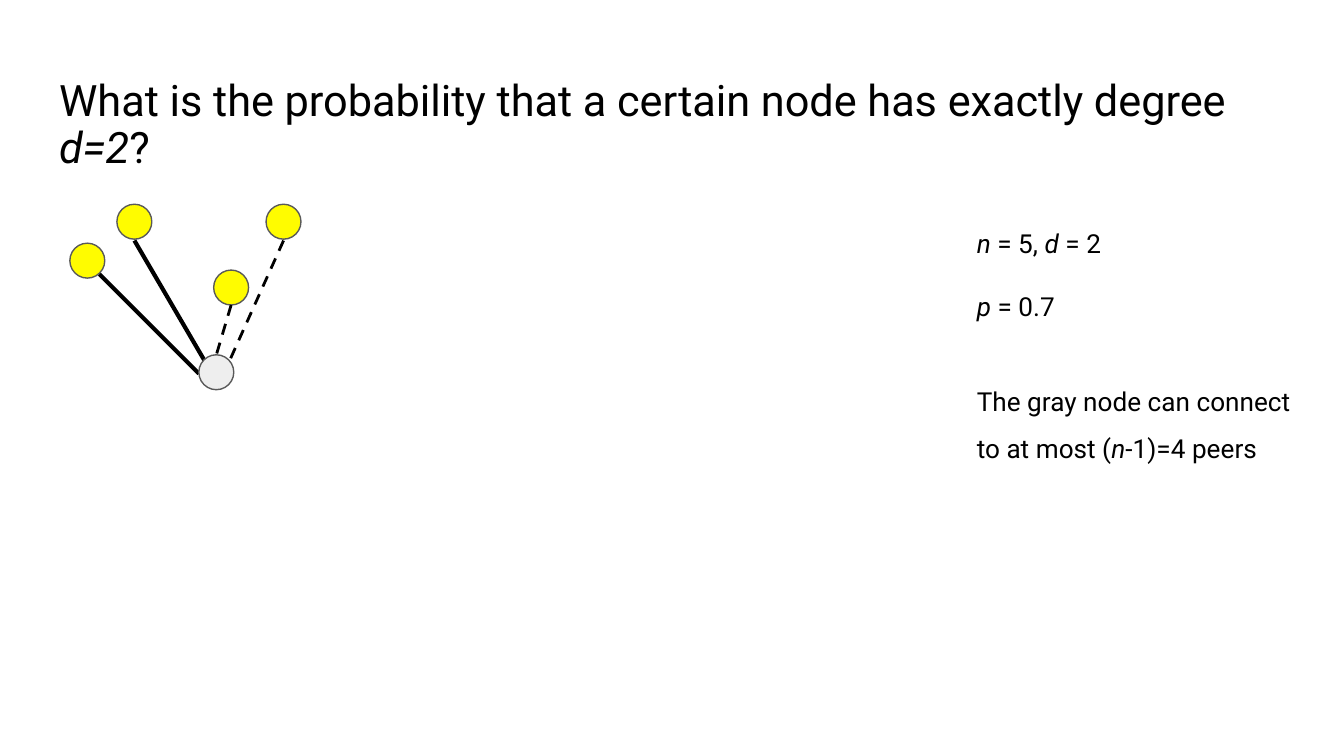
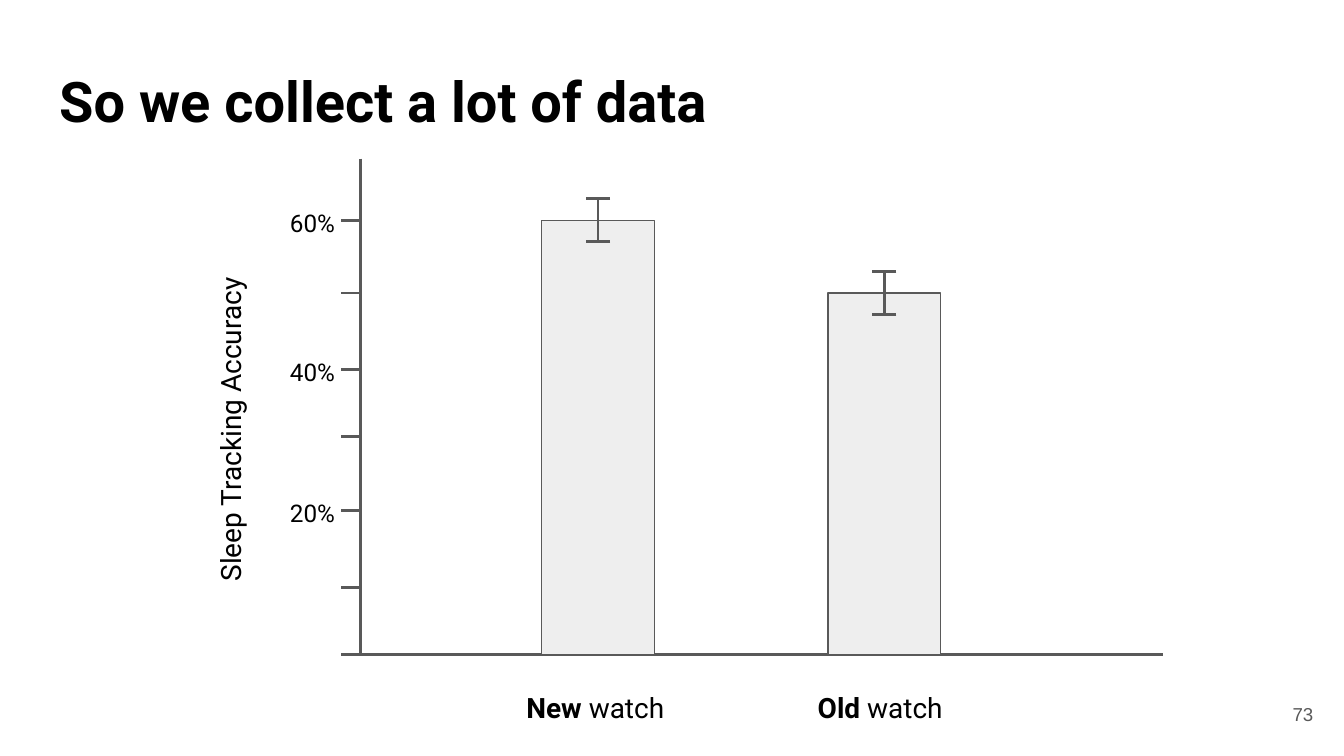
import pptx
import pptx.dml.color
import pptx.enum.dml
import pptx.enum.shapes
import pptx.enum.text
import pptx.oxml
import pptx.util

Inches = pptx.util.Inches
Pt = pptx.util.Pt
RGBColor = pptx.dml.color.RGBColor
SHAPE = pptx.enum.shapes.MSO_SHAPE
ALIGN = pptx.enum.text.PP_ALIGN
ANCHOR = pptx.enum.text.MSO_ANCHOR
DASH = pptx.enum.dml.MSO_LINE.DASH

BLACK = RGBColor(0x00, 0x00, 0x00)
GRAY = RGBColor(0x59, 0x59, 0x59)
PALE = RGBColor(0xEE, 0xEE, 0xEE)
YELLOW = RGBColor(0xFF, 0xFC, 0x00)

TITLE_AREA = (0.34, 0.49, 9.32, 0.63)
LABEL_FORMAT = {"alignment": ALIGN.CENTER, "line_spacing": 1.2, "space_after": Pt(10)}
TICK_FORMAT = {**LABEL_FORMAT, "alignment": ALIGN.RIGHT}


def write(box, area, paragraphs, size, para_format, anchor=ANCHOR.TOP, font="Roboto", color=BLACK):
    box.left, box.top, box.width, box.height = map(Inches, area)
    frame = box.text_frame
    frame_format = {"word_wrap": True, "vertical_anchor": anchor,
                    "auto_size": pptx.enum.text.MSO_AUTO_SIZE.NONE}
    for side in ("left", "top", "right", "bottom"):
        frame_format[f"margin_{side}"] = Inches(0.1)
    for name, value in frame_format.items():
        setattr(frame, name, value)
    for index, spans in enumerate(paragraphs):
        para = frame.add_paragraph() if index else frame.paragraphs[0]
        for name, value in para_format.items():
            setattr(para, name, value)
        for text, style in spans:
            span = para.add_run()
            span.text = text
            span.font.color.rgb = color
            font_format = {"name": font, "size": Pt(size),
                           "bold": "b" in style, "italic": "i" in style}
            for name, value in font_format.items():
                setattr(span.font, name, value)


def draw(shapes, kind, area, color, width, fill=None, dash=None):
    lengths = map(Inches, area)
    if kind == "line":
        shape = shapes.add_connector(pptx.enum.shapes.MSO_CONNECTOR.STRAIGHT, *lengths)
        properties = shape.line._get_or_add_ln().getparent()
        properties.append(pptx.oxml.parse_xml(
            '<a:effectLst xmlns:a="http://schemas.openxmlformats.org/drawingml/2006/main"/>'))
    else:
        shape = shapes.add_shape(kind, *lengths)
        shape.shadow.inherit = False
        shape.fill.solid()
        shape.fill.fore_color.rgb = fill
    shape.line.color.rgb = color
    shape.line.width = Pt(width)
    if dash:
        shape.line.dash_style = dash


deck = pptx.Presentation()
deck.slide_width = Inches(10)
deck.slide_height = Inches(10 * 9 / 16)
title_only = deck.slide_layouts[5]

page = deck.slides.add_slide(title_only)
question = [("What is the probability that a certain node has exactly degree ", ""),
            ("d=2", "i"), ("?", "")]
write(page.shapes.title, TITLE_AREA, [question], 23.2,
      {"alignment": ALIGN.LEFT, "line_spacing": 0.9})

graph = page.shapes.add_group_shape().shapes
NODE = 0.26
for left, top in [(0.87, 1.52), (1.98, 1.52), (1.59, 2.01), (0.52, 1.81)]:
    draw(graph, SHAPE.OVAL, (left, top, NODE, NODE), GRAY, 0.75, YELLOW)
for edge in [(1, 1.79, 1.52, 2.68), (0.74, 2.04, 1.48, 2.78)]:
    draw(graph, "line", edge, BLACK, 2.25)
for edge in [(2.11, 1.79, 1.71, 2.68), (1.72, 2.27, 1.61, 2.64)]:
    draw(graph, "line", edge, BLACK, 1.5, dash=DASH)
draw(graph, SHAPE.OVAL, (1.48, 2.64, NODE, NODE), GRAY, 0.75, PALE)

values = [[("n ", "i"), ("= 5, ", ""), ("d", "i"), (" = 2", "")],
          [("p ", "i"), ("= 0.7", "")]]
peers = [[("The gray node can connect to at most (", ""), ("n", "i"), ("-1)=4 peers", "")]]
for area, paragraphs, spacing in [((7.17, 1.36, 1.99, 0.94), values, 2.0),
                                  ((7.17, 2.65, 2.63, 0.79), peers, 1.5)]:
    box = page.shapes.add_textbox(0, 0, 0, 0)
    write(box, area, paragraphs, 14, {"line_spacing": spacing})

page = deck.slides.add_slide(title_only)
write(page.shapes.title, TITLE_AREA, [[("So we collect a lot of data", "b")]], 30,
      {"alignment": ALIGN.LEFT, "line_spacing": 0.8})

AXIS_X, AXIS_Y = 2.68, 4.87
draw(page.shapes, "line", (AXIS_X, 1.18, AXIS_X, AXIS_Y), GRAY, 1.5)
draw(page.shapes, "line", (AXIS_X, AXIS_Y, 8.65, AXIS_Y), GRAY, 1.5)

ticks = [(1.64, "60%"), (2.18, ""), (2.75, "40%"), (3.25, ""),
         (3.8, "20%"), (4.37, ""), (AXIS_Y, "")]
for y, label in ticks:
    draw(page.shapes, "line", (AXIS_X, y, AXIS_X - 0.14, y), GRAY, 1.5)
    if label:
        box = page.shapes.add_textbox(0, 0, 0, 0)
        write(box, (1.6, y - 0.34, 0.99, 0.67), [[(label, "")]], 13, TICK_FORMAT, ANCHOR.MIDDLE)

BAR, ERROR, CAP = 0.84, 0.16, 0.09
bars = [("New ", 4.03, 1.64, 3.56, 1.79), ("Old ", 6.16, 2.18, 5.78, 1.59)]
for label, left, top, label_left, label_width in bars:
    draw(page.shapes, SHAPE.RECTANGLE, (left, top, BAR, AXIS_Y - top), GRAY, 0.75, PALE)
    box = page.shapes.add_textbox(0, 0, 0, 0)
    write(box, (label_left, 4.99, label_width, 0.45),
          [[(label, "b"), ("watch ", "")]], 15, LABEL_FORMAT)
    middle = left + BAR / 2
    error_bar = page.shapes.add_group_shape().shapes
    draw(error_bar, "line", (middle, top - ERROR, middle, top + ERROR), GRAY, 1.5)
    for y in (top - ERROR, top + ERROR):
        draw(error_bar, "line", (middle + CAP, y, middle - CAP, y), GRAY, 1.5)

box = page.shapes.add_textbox(0, 0, 0, 0)
write(box, (0.3, 2.97, 2.72, 0.45), [[("Sleep Tracking Accuracy", "")]], 15, LABEL_FORMAT)
box.rotation = 270

box = page.shapes.add_textbox(0, 0, 0, 0)
write(box, (9.27, 5.1, 0.6, 0.43), [[("73", "")]], 10, {"alignment": ALIGN.RIGHT},
      ANCHOR.MIDDLE, "Arial", GRAY)

deck.save("out.pptx")
